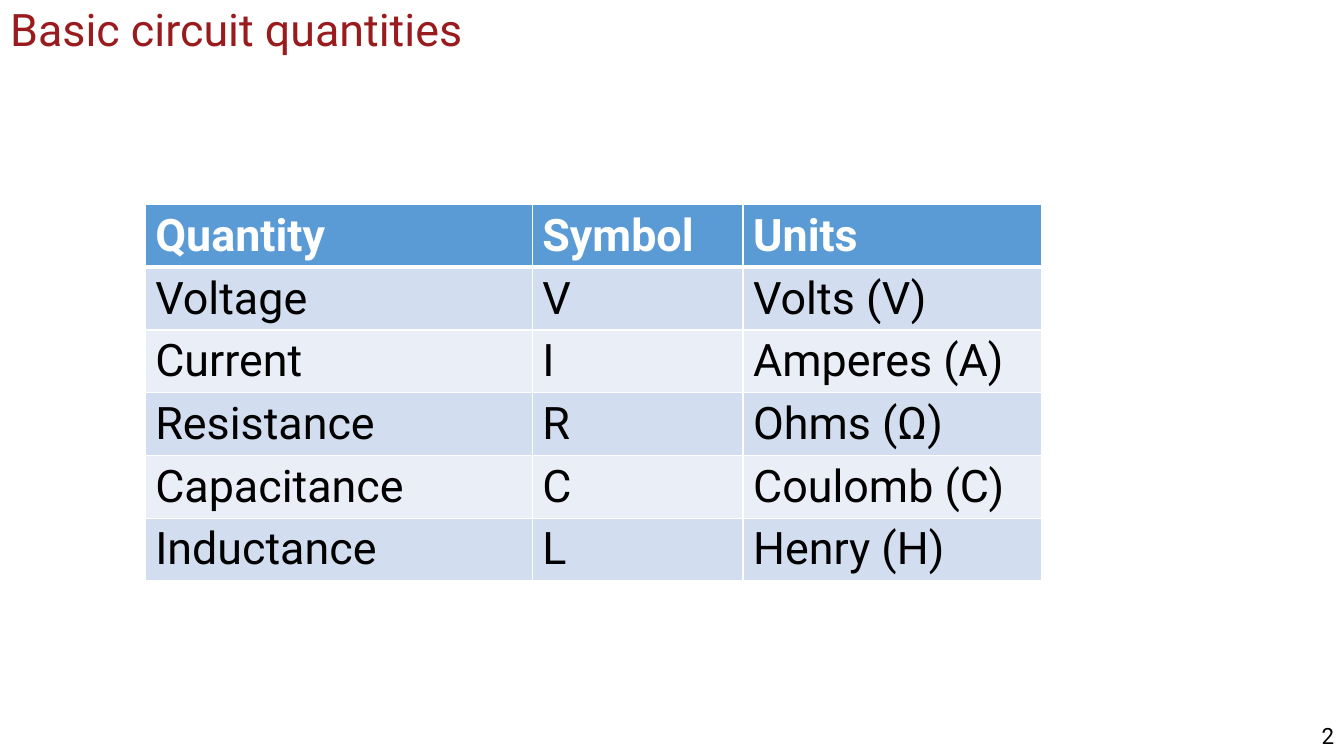
"""Build the slide listing basic circuit quantities in a table."""
import lxml.etree
import pptx
import pptx.dml.color
import pptx.enum.text
import pptx.oxml.ns
import pptx.util

TITLE = "Basic circuit quantities"
PAGE_NUMBER = "2"
QUANTITIES = [
    ("Quantity", "Symbol", "Units"),
    ("Voltage", "V", "Volts (V)"),
    ("Current", "I", "Amperes (A)"),
    ("Resistance", "R", "Ohms (Ω)"),
    ("Capacitance", "C", "Coulomb (C)"),
    ("Inductance", "L", "Henry (H)"),
]
COLORS = {
    "title": "991B1E", "text": "000000", "white": "FFFFFF",
    "header": "5B9BD5", "odd": "D2DEEF", "even": "EAEFF7",
}
COLUMN_WIDTHS = [3.84, 2.09, 2.96]
ROW_HEIGHT = 0.62
TABLE_LEFT, TABLE_TOP = 1.44, 2.03
LEFT = pptx.enum.text.PP_ALIGN.LEFT
RIGHT = pptx.enum.text.PP_ALIGN.RIGHT
MIDDLE = pptx.enum.text.MSO_ANCHOR.MIDDLE
Inches = pptx.util.Inches


def write_text(frame, text, color, size=32, bold=False, align=LEFT, spacing=1.0):
    frame.word_wrap = True
    para = frame.paragraphs[0]
    para.alignment = align
    para.line_spacing = spacing
    span = para.add_run()
    span.text = text
    for name, value in {"name": "Roboto", "size": pptx.util.Pt(size), "bold": bold}.items():
        setattr(span.font, name, value)
    span.font.color.rgb = pptx.dml.color.RGBColor.from_string(COLORS[color])


def place(shape, left, top, width, height):
    for name, value in {"left": left, "top": top, "width": width, "height": height}.items():
        setattr(shape, name, Inches(value))


def add_borders(cell, widths):
    qn = pptx.oxml.ns.qn
    properties = cell._tc.get_or_add_tcPr()
    for side, width in widths.items():
        line = lxml.etree.SubElement(properties, qn(f"a:ln{side}"), w=str(pptx.util.Pt(width)))
        fill = lxml.etree.SubElement(line, qn("a:solidFill"))
        lxml.etree.SubElement(fill, qn("a:srgbClr"), val=COLORS["white"])


def add_quantity_table(page):
    frame = page.shapes.add_table(
        len(QUANTITIES), len(COLUMN_WIDTHS), Inches(TABLE_LEFT), Inches(TABLE_TOP),
        Inches(sum(COLUMN_WIDTHS)), Inches(ROW_HEIGHT * len(QUANTITIES)))
    table = frame.table
    for column, width in zip(table.columns, COLUMN_WIDTHS):
        column.width = Inches(width)
    for index, values in enumerate(QUANTITIES):
        header = index == 0
        fill = "header" if header else "odd" if index % 2 else "even"
        borders = {"L": 1, "R": 1, "T": 3 if index == 1 else 1, "B": 3 if header else 1}
        for position, value in enumerate(values):
            cell = table.cell(index, position)
            write_text(cell.text_frame, value, "white" if header else "text", bold=header)
            add_borders(cell, borders)
            cell.fill.solid()
            cell.fill.fore_color.rgb = pptx.dml.color.RGBColor.from_string(COLORS[fill])


def main():
    deck = pptx.Presentation()
    deck.slide_width, deck.slide_height = Inches(13.33), Inches(7.5)
    page = deck.slides.add_slide(deck.slide_layouts[5])

    title = page.shapes.title
    place(title, 0, 0, 11.5, 0.64)
    title.text_frame.vertical_anchor = MIDDLE
    write_text(title.text_frame, TITLE, "title", spacing=0.9)

    add_quantity_table(page)

    number = page.shapes.add_textbox(0, 0, 0, 0)
    place(number, 12.77, 7.1, 0.56, 0.4)
    number.text_frame.vertical_anchor = MIDDLE
    write_text(number.text_frame, PAGE_NUMBER, "text", size=16, align=RIGHT)

    deck.save("out.pptx")


if __name__ == "__main__":
    main()
